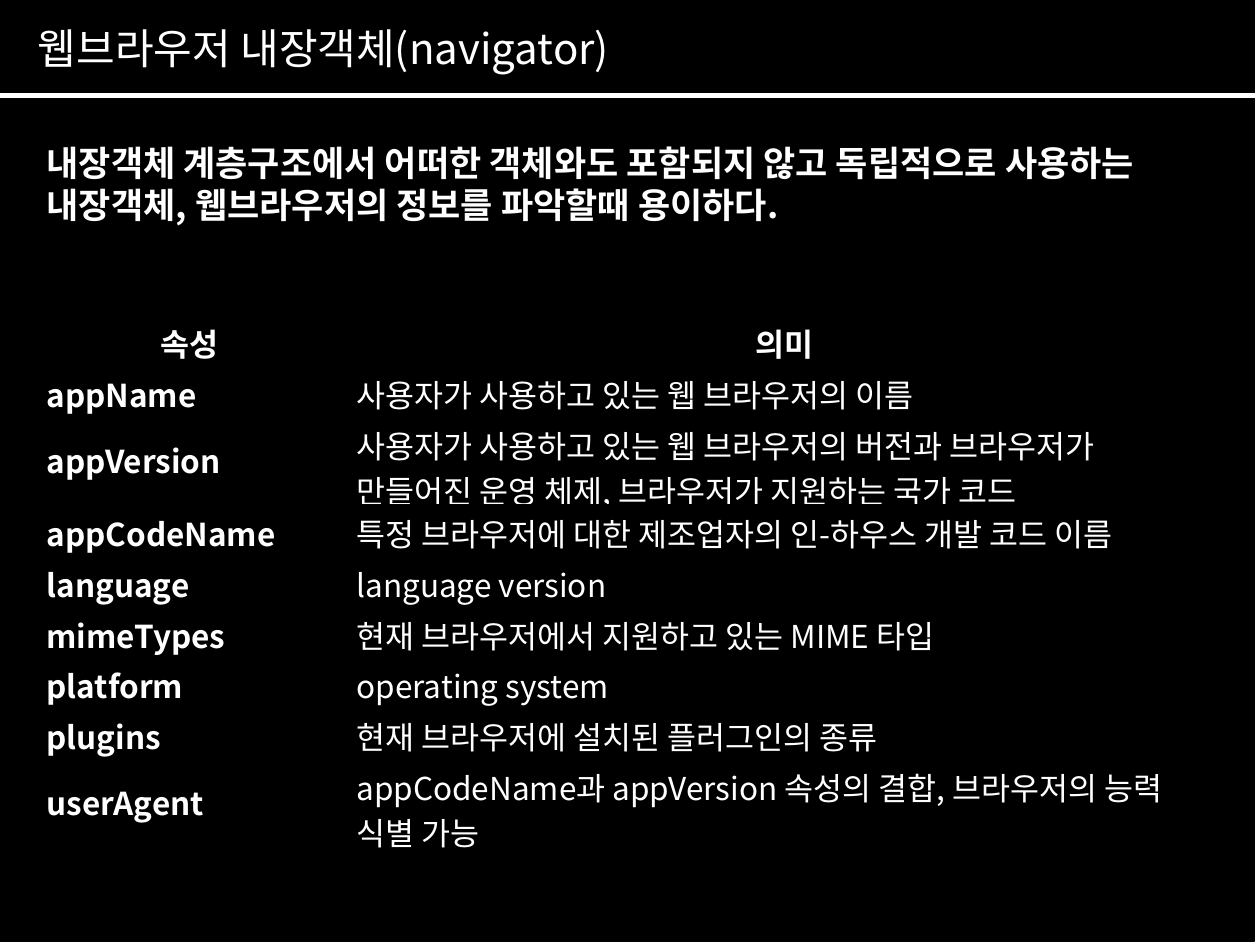
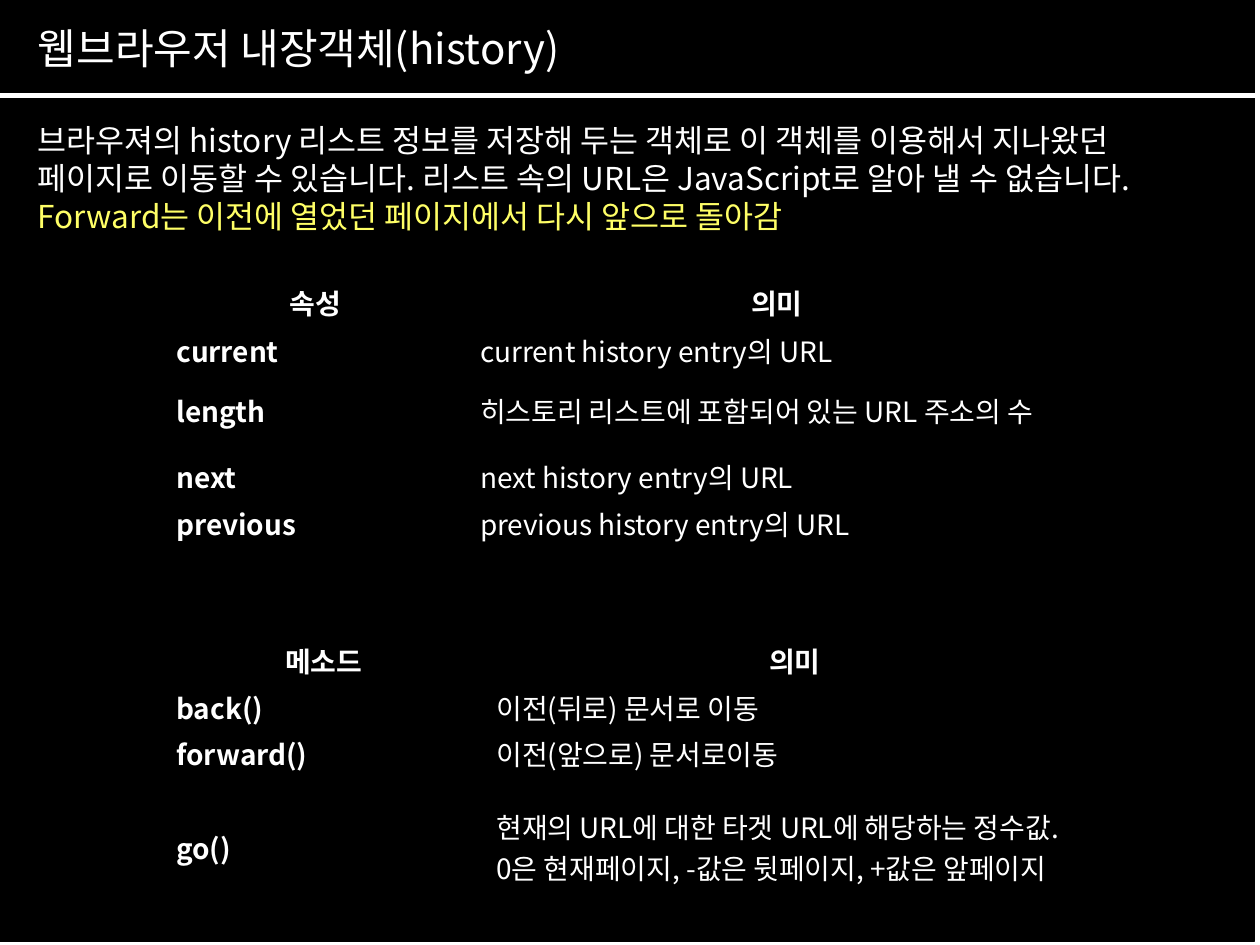
from pptx import Presentation
from pptx.dml.color import RGBColor
from pptx.enum.shapes import MSO_CONNECTOR, MSO_SHAPE
from pptx.enum.text import MSO_ANCHOR, MSO_AUTO_SIZE, PP_ALIGN
from pptx.oxml.ns import qn
from pptx.util import Inches, Pt
from lxml.etree import SubElement

BLACK = RGBColor(0x00, 0x00, 0x00)
WHITE = RGBColor(0xFF, 0xFF, 0xFF)
YELLOW = RGBColor(0xFF, 0xFF, 0x66)
FONT = "Noto Sans CJK KR"
COLS, ROWS = 100, 75
LEAD = 1.44     # line height of the font, in ems
PAD = 0.05      # cell margin, in inches
LONG = 40       # letters that fit on one table line
PLAIN = "{2D5ABB26-0587-4C30-8999-92F81FD0307C}"


class Deck:
    """Style, grid and current slide."""

    def __init__(self):
        self.prs = Presentation()
        self.prs.slide_width, self.prs.slide_height = Inches(10), Inches(7.5)
        self.col = self.prs.slide_width / COLS
        self.row = self.prs.slide_height / ROWS

    def box(self, x, y, w, h):
        return (round(x * self.col), round(y * self.row),
                round(w * self.col), round(h * self.row))

    def style(self, run, size, bold=False, color=WHITE):
        font = run.font
        font.name, font.size, font.bold = FONT, Pt(size), bold
        font.color.rgb = color
        font._element.set("kern", "0")
        SubElement(font._element, qn("a:ea"), typeface=FONT)

    # Black panel, moved to the master so that all slides share it
    def panel(self):
        area = self.box(-0.4, -0.3, COLS, ROWS)
        shape = self.slide.shapes.add_shape(MSO_SHAPE.RECTANGLE, *area)
        shape.shadow.inherit = False
        shape.fill.solid()
        shape.fill.fore_color.rgb = shape.line.color.rgb = BLACK
        shape.line.width = Pt(0.75)
        self.prs.slide_master.shapes._spTree.insert(2, shape._element)

    # Slide with its title and rule
    def page(self, title):
        self.slide = self.prs.slides.add_slide(self.prs.slide_layouts[1])
        self.text(self.slide.shapes.title, (2, 1.3, 76.4, 5), [(title, WHITE)], 24)
        self.rule(7.6)

    def rule(self, y):
        x, y, w, _ = self.box(0, y, COLS, 0)
        line = self.slide.shapes.add_connector(MSO_CONNECTOR.STRAIGHT, x, y, x + w, y)
        line.line.color.rgb, line.line.width = WHITE, Pt(3)
        SubElement(line._element.spPr, qn("a:effectLst"))

    def body(self, area, parts, size, bold=False):
        self.text(self.slide.placeholders[1], area, parts, size, bold)

    # One paragraph of coloured runs in a placeholder
    def text(self, shape, area, parts, size, bold=False):
        shape.left, shape.top, shape.width, shape.height = self.box(*area)
        frame = shape.text_frame
        frame.word_wrap, frame.auto_size = True, MSO_AUTO_SIZE.NONE
        frame.vertical_anchor = MSO_ANCHOR.TOP
        para = frame.paragraphs[0]
        para.alignment, para.space_before = PP_ALIGN.LEFT, Pt(0)
        props = para._p.get_or_add_pPr()
        props.set("marL", "0")
        props.set("indent", "0")
        SubElement(props, qn("a:buNone"))
        for words, color in parts:
            run = para.add_run()
            run.text = words
            self.style(run, size, bold, color)

    # Table with bold heads and bold first column
    def table(self, x, y, cols, rows, data, size):
        area = self.box(x, y, sum(cols), sum(rows))
        frame = self.slide.shapes.add_table(len(rows), len(cols), *area)
        table = frame.table
        table.horz_banding = False
        table._tbl.tblPr.find(qn("a:tableStyleId")).text = PLAIN
        for col, width in zip(table.columns, cols):
            col.width = round(width * self.col)
        for row, height in zip(table.rows, rows):
            row.height = round(height * self.row)
        for r, line in enumerate(data):
            for c, words in enumerate(line):
                cell = table.cell(r, c)
                self.cell(cell, words, size, r == 0, c == 0)
                self.fit(cell, table.rows[r].height, words, size)

    def cell(self, cell, words, size, head, key):
        cell.fill.solid()
        cell.fill.fore_color.rgb = BLACK
        cell.vertical_anchor = MSO_ANCHOR.MIDDLE
        para = cell.text_frame.paragraphs[0]
        para.text = words
        para.alignment = PP_ALIGN.CENTER if head else PP_ALIGN.LEFT
        for run in para.runs:
            self.style(run, size, head or key)

    # Trim the lower margin so that tall text does not stretch its row
    def fit(self, cell, height, words, size):
        lines = 1 + len(words) // LONG
        spare = height - Inches(PAD) - lines * Pt(size * LEAD)
        cell.margin_top = Inches(PAD)
        cell.margin_bottom = min(Inches(PAD), spare)


def main():
    deck = Deck()

    # The navigator object
    deck.page("웹브라우저 내장객체(navigator)")
    deck.panel()
    deck.body((2.7, 10.7, 91.4, 7.7), [
        ("내장객체 계층구조에서 어떠한 객체와도 포함되지 않고 독립적으로 사용하는 "
         "내장객체, 웹브라우저의 정보를 파악할때 용이하다.", WHITE)], 20, True)
    deck.table(2.7, 24.9, (24.6, 69.9), (4, 4, 7, 4, 4, 4, 4, 4, 7), [
        ("속성", "의미"),
        ("appName", "사용자가 사용하고 있는 웹 브라우저의 이름"),
        ("appVersion", "사용자가 사용하고 있는 웹 브라우저의 버전과 브라우저가 "
                       "만들어진 운영 체제, 브라우저가 지원하는 국가 코드"),
        ("appCodeName", "특정 브라우저에 대한 제조업자의 인-하우스 개발 코드 이름"),
        ("language", "language version"),
        ("mimeTypes", "현재 브라우저에서 지원하고 있는 MIME 타입"),
        ("platform", "operating system"),
        ("plugins", "현재 브라우저에 설치된 플러그인의 종류"),
        ("userAgent", "appCodeName과 appVersion 속성의 결합, 브라우저의 능력 식별 가능"),
    ], 18)

    # The history object
    deck.page("웹브라우저 내장객체(history)")
    deck.body((2, 9.1, 94.5, 10), [
        ("브라우져의 history 리스트 정보를 저장해 두는 객체로 이 객체를 이용해서 "
         "지나왔던 페이지로 이동할 수 있습니다. 리스트 속의 URL은 JavaScript로 "
         "알아 낼 수 없습니다. ", WHITE),
        ("Forward는 이전에 열었던 페이지에서 다시 앞으로 돌아감", YELLOW)], 18)
    deck.table(13, 21.9, (24.1, 49.1), (3.8, 3.7, 6.3, 3.7, 3.7), [
        ("속성", "의미"),
        ("current", "current history entry의 URL"),
        ("length", "히스토리 리스트에 포함되어 있는 URL 주소의 수"),
        ("next", "next history entry의 URL"),
        ("previous", "previous history entry의 URL"),
    ], 16)
    deck.table(13, 50.3, (25.4, 49.4), (3.7, 3.7, 3.7, 11.6), [
        ("메소드", "의미"),
        ("back()", "이전(뒤로) 문서로 이동"),
        ("forward()", "이전(앞으로) 문서로이동"),
        ("go()", "현재의 URL에 대한 타겟 URL에 해당하는 정수값.\v"
                 "0은 현재페이지, -값은 뒷페이지, +값은 앞페이지"),
    ], 16)

    deck.prs.save("out.pptx")


if __name__ == "__main__":
    main()
